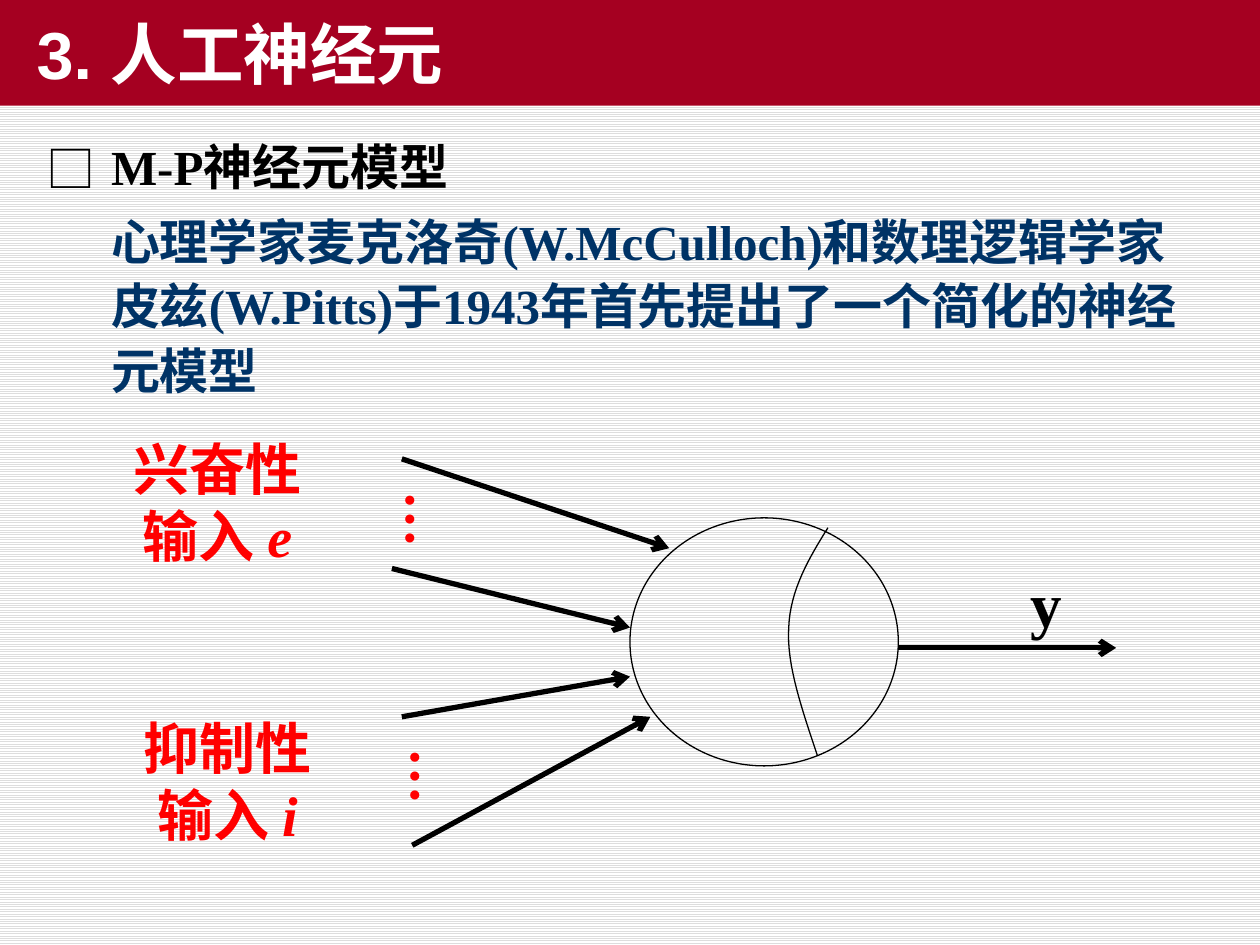
from dataclasses import dataclass

from lxml.etree import SubElement
from pptx import Presentation
from pptx.dml.color import RGBColor
from pptx.enum.dml import MSO_PATTERN
from pptx.enum.shapes import MSO_CONNECTOR, MSO_SHAPE
from pptx.enum.text import MSO_ANCHOR, PP_ALIGN
from pptx.oxml.ns import qn
from pptx.util import Cm, Pt


@dataclass(frozen=True)
class Theme:
    """Colours, fonts and sizes of the slide."""
    banner: RGBColor = RGBColor(0xA5, 0x00, 0x21)
    stripe: RGBColor = RGBColor(0xDD, 0xDD, 0xDD)
    white: RGBColor = RGBColor(0xFF, 0xFF, 0xFF)
    ink: RGBColor = RGBColor(0x00, 0x00, 0x00)
    navy: RGBColor = RGBColor(0x00, 0x33, 0x66)
    red: RGBColor = RGBColor(0xFF, 0x00, 0x00)
    sans: str = "Arial"
    serif: str = "Times New Roman"
    chinese: str = "Noto Sans CJK SC"
    title_size: int = 38
    body_size: int = 28
    label_size: int = 32
    output_size: int = 36
    thin: float = 0.75
    thick: float = 3


THEME = Theme()
TITLE = "3. 人工神经元"
BODY = [
    ("M-P神经元模型", THEME.ink, "□", 0),
    ("心理学家麦克洛奇(W.McCulloch)和数理逻辑学家皮兹(W.Pitts)于1943年首先提出了一个简化的神经元模型",
     THEME.navy, None, 5.6),
]
INPUT_LABELS = [
    ("兴奋性输入 ", "e", (2.29, 8.64, 4.19, 2.97)),
    ("抑制性输入 ", "i", (2.49, 14.25, 4.19, 2.97)),
]
ELLIPSES = [(7.59, 9.65, 1.85, 1.8), (7.7, 14.83, 1.85, 1.8)]
ARROWS = [
    (18.11, 13.06, 22.5, 13.06),
    (8.1, 9.25, 13.49, 11.05),
    (7.9, 11.46, 12.7, 12.65),
    (8.1, 14.45, 12.7, 13.64),
    (8.31, 17.04, 13.11, 14.45),
]
CELL = (12.7, 10.44, 5.41, 5)
MEMBRANE = [(16.69, 10.64), (16.31, 11.25), (15.93, 11.89), (15.9, 12.65),
            (15.85, 13.41), (16.18, 14.33), (16.48, 15.24)]
OUTPUT = ("y", (20.29, 11.25, 1.6, 1.78))


def add_run(paragraph, text, size, color, latin=THEME.serif, asian=THEME.chinese, italic=None):
    run = paragraph.add_run()
    run.text = text
    font = run.font
    font.size, font.bold, font.italic = Pt(size), True, italic
    font.color.rgb = color
    font.name = latin
    SubElement(font._element, qn("a:ea")).set("typeface", asian)


def add_text_box(slide, box):
    frame = slide.shapes.add_textbox(*map(Cm, box)).text_frame
    frame.word_wrap = True
    return frame


def add_label(slide, box):
    frame = add_text_box(slide, box)
    paragraph = frame.paragraphs[0]
    paragraph.alignment = PP_ALIGN.CENTER
    return frame, paragraph


def add_body(slide):
    frame = add_text_box(slide, (0.69, 2.51, 24, 15.01))
    for index, (text, color, bullet, space) in enumerate(BODY):
        paragraph = frame.add_paragraph() if index else frame.paragraphs[0]
        paragraph.line_spacing = 1.1
        paragraph.space_before = Pt(space)
        properties = paragraph._p.get_or_add_pPr()
        properties.set("marL", str(Cm(1.3)))
        properties.set("indent", str(Cm(-1.3) if bullet else 0))
        if bullet:
            SubElement(properties, qn("a:buFont")).set("typeface", THEME.chinese)
            SubElement(properties, qn("a:buChar")).set("char", bullet)
        add_run(paragraph, text, THEME.body_size, color)


def outline(shape):
    shape.shadow.inherit = False
    shape.fill.background()
    shape.line.color.rgb = THEME.ink
    shape.line.width = Pt(THEME.thin)


def curve_points(controls, steps=16):
    points = [controls[0]]
    for start in range(0, len(controls) - 1, 3):
        segment = controls[start:start + 4]
        for step in range(1, steps + 1):
            t = step / steps
            weights = ((1 - t) ** 3, 3 * t * (1 - t) ** 2, 3 * t * t * (1 - t), t ** 3)
            points.append(tuple(sum(w * p[axis] for w, p in zip(weights, segment))
                                for axis in (0, 1)))
    return [(Cm(x), Cm(y)) for x, y in points]


def add_neuron(slide):
    outline(slide.shapes.add_shape(MSO_SHAPE.OVAL, *map(Cm, CELL)))
    first, *rest = curve_points(MEMBRANE)
    builder = slide.shapes.build_freeform(*first)
    builder.add_line_segments(rest, close=False)
    outline(builder.convert_to_shape())


def add_arrow(slide, ends):
    connector = slide.shapes.add_connector(MSO_CONNECTOR.STRAIGHT, *map(Cm, ends))
    connector.line.color.rgb = THEME.ink
    connector.line.width = Pt(THEME.thick)
    SubElement(connector.line._get_or_add_ln(), qn("a:tailEnd")).set("type", "arrow")
    SubElement(connector._element.spPr, qn("a:effectLst"))


def add_title(slide):
    banner = slide.shapes.add_shape(MSO_SHAPE.RECTANGLE, 0, 0, Cm(25.4), Cm(2.13))
    banner.shadow.inherit = False
    banner.fill.solid()
    banner.fill.fore_color.rgb = THEME.banner
    banner.line.fill.background()
    frame = banner.text_frame
    frame.vertical_anchor = MSO_ANCHOR.MIDDLE
    frame.margin_left = Cm(0.74)
    paragraph = frame.paragraphs[0]
    paragraph.alignment = PP_ALIGN.LEFT
    add_run(paragraph, TITLE, THEME.title_size, THEME.white, THEME.sans)


def main():
    """Build the slide on the M-P neuron model."""
    presentation = Presentation()
    presentation.slide_width, presentation.slide_height = Cm(25.4), Cm(19.05)
    slide = presentation.slides.add_slide(presentation.slide_layouts[6])
    background = slide.background.fill
    background.patterned()
    background.pattern = MSO_PATTERN.LIGHT_HORIZONTAL
    background.fore_color.rgb = THEME.stripe
    background.back_color.rgb = THEME.white

    add_body(slide)
    add_neuron(slide)
    for ends in ARROWS:
        add_arrow(slide, ends)
    text, box = OUTPUT
    add_run(add_label(slide, box)[1], text, THEME.output_size, THEME.ink)
    for box in ELLIPSES:
        frame, paragraph = add_label(slide, box)
        frame._txBody.bodyPr.set("vert", "eaVert")
        add_run(paragraph, "…", THEME.label_size, THEME.red, asian=THEME.serif)
    for text, symbol, box in INPUT_LABELS:
        paragraph = add_label(slide, box)[1]
        add_run(paragraph, text, THEME.label_size, THEME.red)
        add_run(paragraph, symbol, THEME.label_size, THEME.red, italic=True)
    add_title(slide)
    presentation.save("out.pptx")


if __name__ == "__main__":
    main()
